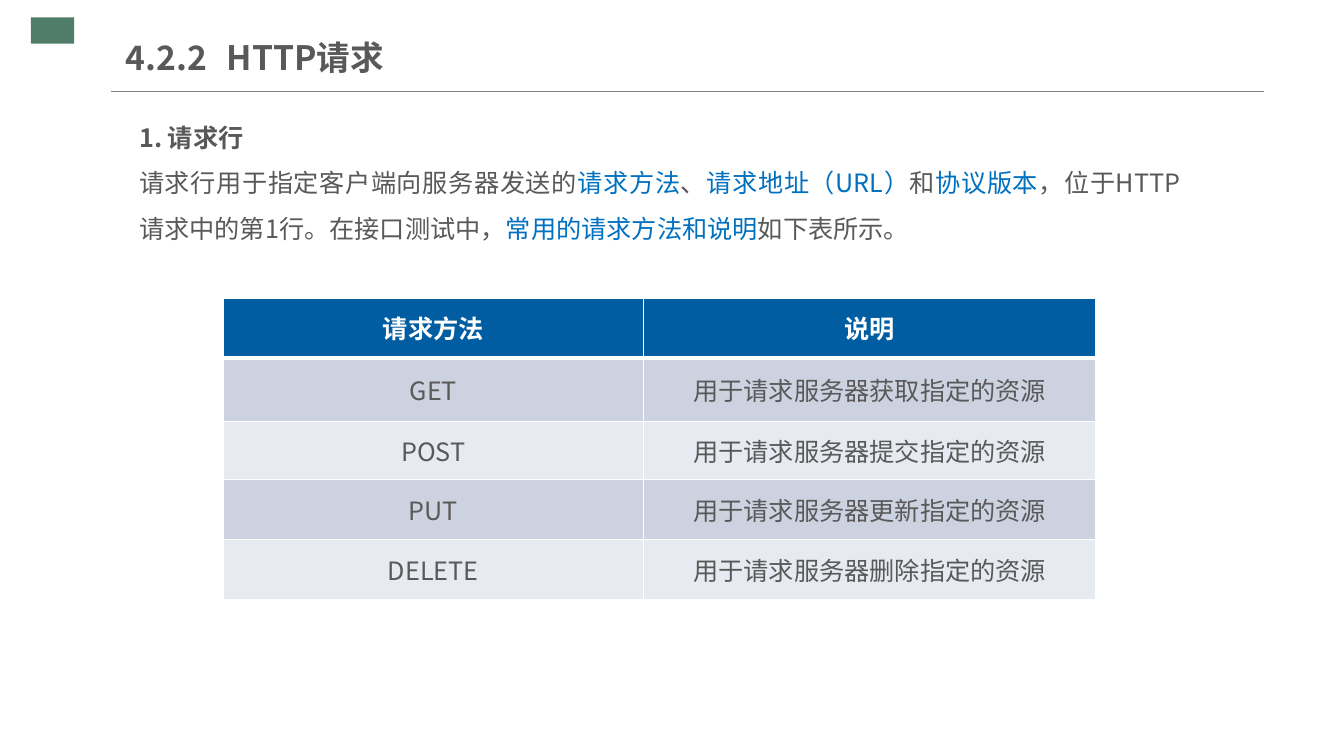
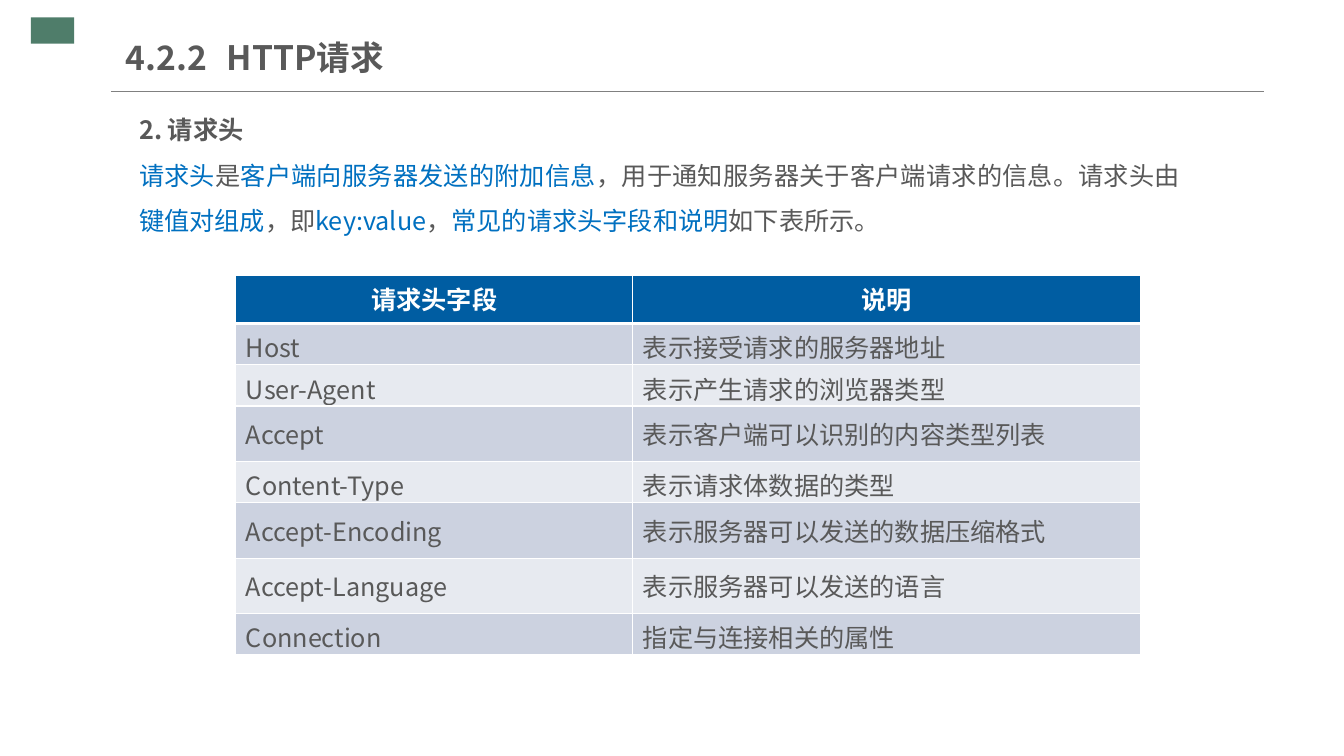
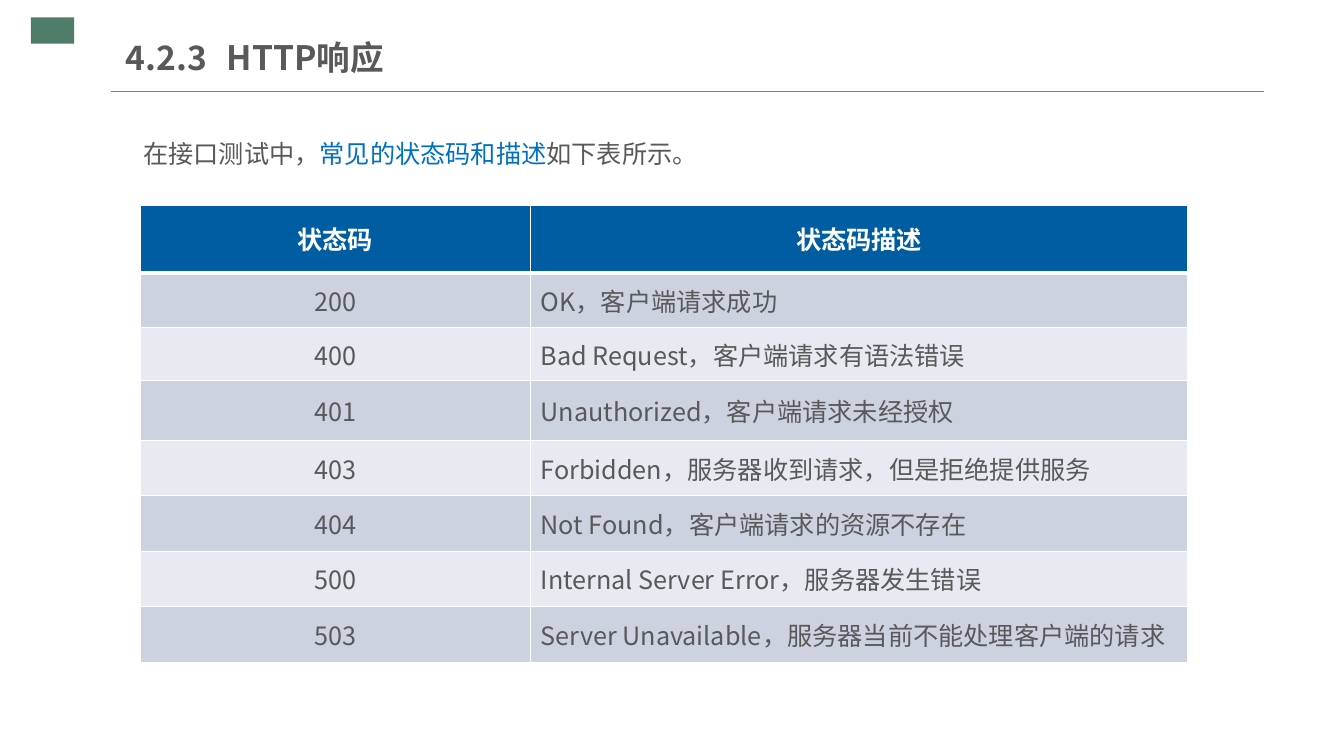
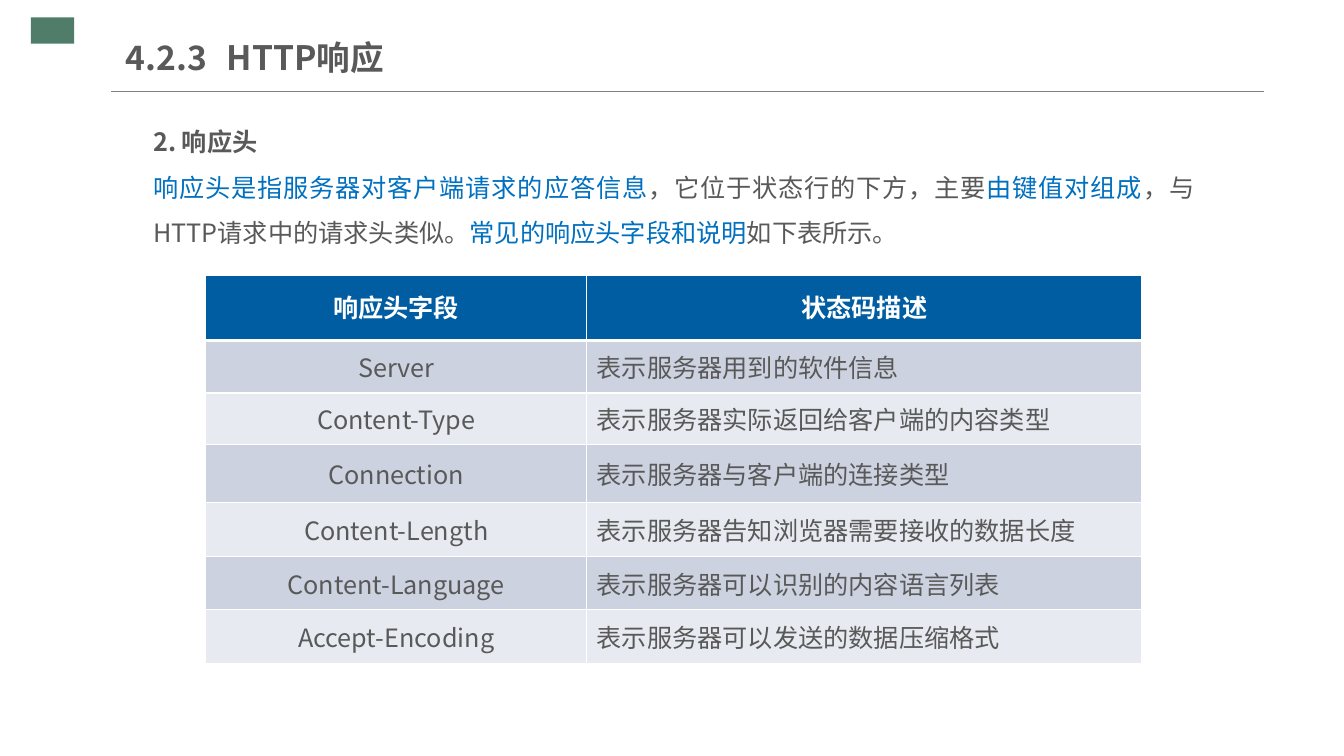
from dataclasses import dataclass

import lxml.etree
import pptx
import pptx.dml.color
import pptx.enum.shapes
import pptx.enum.text
import pptx.oxml.ns
import pptx.util

Pt = pptx.util.Pt
Align = pptx.enum.text.PP_ALIGN
Anchor = pptx.enum.text.MSO_ANCHOR


@dataclass(frozen=True)
class Theme:
    font: str = "Noto Sans CJK SC"
    title_size: float = 24
    body_size: float = 18
    text: str = "595959"
    highlight: str = "0070C0"
    white: str = "FFFFFF"
    marker: str = "4F7D6A"
    rule: str = "808080"
    header: str = "005DA2"
    bands: tuple[str, str] = ("CCD2E0", "E7EAF0")
    inner_border: float = 1
    header_border: float = 3


@dataclass(frozen=True)
class TableContent:
    left: float
    top: float
    columns: tuple[float, float]
    heights: tuple[float, ...]
    alignments: tuple[Align, Align]
    rows: tuple[tuple[str, str], ...]


@dataclass(frozen=True)
class Page:
    title: str
    heading: str
    body: str
    body_left: float
    body_top: float
    body_height: float
    table: TableContent


THEME = Theme()
TIGHT_ROW = 34
REQUEST_TITLE = "4.2.2\tHTTP请求"
RESPONSE_TITLE = "4.2.3\tHTTP响应"

PAGES = (
    Page(
        REQUEST_TITLE,
        "1. 请求行",
        "请求行用于指定客户端向服务器发送的*请求方法*、*请求地址（URL）*和*协议版本*，"
        "位于HTTP请求中的第1行。在接口测试中，*常用的请求方法和说明*如下表所示。",
        90, 71.5, 108,
        TableContent(
            159.5, 213.3, (300, 323.3), (42.5, 45.1, 41.8, 42.8, 43.1),
            (Align.CENTER, Align.CENTER),
            (
                ("请求方法", "说明"),
                ("GET", "用于请求服务器获取指定的资源"),
                ("POST", "用于请求服务器提交指定的资源"),
                ("PUT", "用于请求服务器更新指定的资源"),
                ("DELETE", "用于请求服务器删除指定的资源"),
            ),
        ),
    ),
    Page(
        REQUEST_TITLE,
        "2. 请求头",
        "*请求头*是*客户端向服务器发送的附加信息*，用于通知服务器关于客户端请求的信息。"
        "请求头由*键值对组成*，即*key:value*，*常见的请求头字段和说明*如下表所示。",
        90, 66, 108,
        TableContent(
            168.5, 196.5, (283.5, 363),
            (34.6, 29.5, 29.5, 39.6, 29.5, 39.6, 39.6, 29.5),
            (Align.LEFT, Align.LEFT),
            (
                ("请求头字段", "说明"),
                ("Host", "表示接受请求的服务器地址"),
                ("User-Agent", "表示产生请求的浏览器类型"),
                ("Accept", "表示客户端可以识别的内容类型列表"),
                ("Content-Type", "表示请求体数据的类型"),
                ("Accept-Encoding", "表示服务器可以发送的数据压缩格式"),
                ("Accept-Language", "表示服务器可以发送的语言"),
                ("Connection", "指定与连接相关的属性"),
            ),
        ),
    ),
    Page(
        RESPONSE_TITLE,
        "",
        "在接口测试中，*常见的状态码和描述*如下表所示。",
        93, 82.8, 42.5,
        TableContent(
            100, 146.8, (279, 469.3),
            (48.2, 38.9, 38.2, 42.5, 39.6, 39.6, 39.6, 39.6),
            (Align.CENTER, Align.LEFT),
            (
                ("状态码", "状态码描述"),
                ("200", "OK，客户端请求成功"),
                ("400", "Bad Request，客户端请求有语法错误"),
                ("401", "Unauthorized，客户端请求未经授权"),
                ("403", "Forbidden，服务器收到请求，但是拒绝提供服务"),
                ("404", "Not Found，客户端请求的资源不存在"),
                ("500", "Internal Server Error，服务器发生错误"),
                ("503", "Server Unavailable，服务器当前不能处理客户端的请求"),
            ),
        ),
    ),
    Page(
        RESPONSE_TITLE,
        "2. 响应头",
        "*响应头是指服务器对客户端请求的应答信息*，它位于状态行的下方，主要*由键值对组成*，"
        "与HTTP请求中的请求头类似。*常见的响应头字段和说明*如下表所示。",
        100, 74.8, 108,
        TableContent(
            147, 196.5, (272, 396.7),
            (46.8, 37.4, 36.7, 41.8, 38.2, 38.2, 38.2),
            (Align.CENTER, Align.LEFT),
            (
                ("响应头字段", "状态码描述"),
                ("Server", "表示服务器用到的软件信息"),
                ("Content-Type", "表示服务器实际返回给客户端的内容类型"),
                ("Connection", "表示服务器与客户端的连接类型"),
                ("Content-Length", "表示服务器告知浏览器需要接收的数据长度"),
                ("Content-Language", "表示服务器可以识别的内容语言列表"),
                ("Accept-Encoding", "表示服务器可以发送的数据压缩格式"),
            ),
        ),
    ),
)


def rgb(value: str) -> pptx.dml.color.RGBColor:
    return pptx.dml.color.RGBColor.from_string(value)


def add_element(parent, tag: str, **attributes: str):
    element = lxml.etree.SubElement(parent, pptx.oxml.ns.qn(tag))
    element.attrib.update(attributes)
    return element


def style_paragraph(paragraph, size: float, color: str, bold: bool = False) -> None:
    """Set the paragraph font for Latin and East Asian text alike."""
    font = paragraph.font
    font.size = Pt(size)
    font.bold = bold
    font.color.rgb = rgb(color)
    font.name = THEME.font
    properties = paragraph._p.pPr.find(pptx.oxml.ns.qn("a:defRPr"))
    add_element(properties, "a:ea", typeface=THEME.font)


def add_text_frame(slide, left: float, top: float, width: float, height: float,
                   side_inset: float):
    text_frame = slide.shapes.add_textbox(Pt(left), Pt(top), Pt(width), Pt(height)).text_frame
    text_frame.word_wrap = True
    text_frame.margin_left = text_frame.margin_right = Pt(side_inset)
    text_frame.margin_top = text_frame.margin_bottom = Pt(5)
    return text_frame


def add_frame(slide, title: str) -> None:
    """Draw the corner marker, the title and the rule below it."""
    marker = slide.shapes.add_shape(
        pptx.enum.shapes.MSO_SHAPE.RECTANGLE, Pt(22), Pt(12.5), Pt(31), Pt(18.7))
    marker.shadow.inherit = False
    marker.fill.solid()
    marker.fill.fore_color.rgb = rgb(THEME.marker)
    marker.line.fill.background()

    rule = slide.shapes.add_connector(
        pptx.enum.shapes.MSO_CONNECTOR.STRAIGHT, Pt(79.2), Pt(65.5), Pt(903), Pt(65.5))
    rule.line.color.rgb = rgb(THEME.rule)
    rule.line.width = Pt(0.75)
    add_element(rule._element.spPr, "a:effectLst")

    text_frame = add_text_frame(slide, 90, 21, 306.7, 39.6, 0)
    text_frame.vertical_anchor = Anchor.MIDDLE
    paragraph = text_frame.paragraphs[0]
    paragraph.add_run().text = title
    style_paragraph(paragraph, THEME.title_size, THEME.text, bold=True)


def add_body(slide, page: Page) -> None:
    """Write the heading and the body; text between asterisks is highlighted."""
    text_frame = add_text_frame(
        slide, page.body_left, page.body_top, 762.5, page.body_height, 9.4)
    text_frame.auto_size = pptx.enum.text.MSO_AUTO_SIZE.SHAPE_TO_FIT_TEXT
    paragraph = text_frame.paragraphs[0]
    if page.heading:
        paragraph.add_run().text = page.heading
        style_paragraph(paragraph, THEME.body_size, THEME.text, bold=True)
        paragraph = text_frame.add_paragraph()
    style_paragraph(paragraph, THEME.body_size, THEME.text)
    for index, part in enumerate(page.body.split("*")):
        if part:
            run = paragraph.add_run()
            run.text = part
            if index % 2:
                run.font.color.rgb = rgb(THEME.highlight)
    for paragraph in text_frame.paragraphs:
        paragraph.alignment = Align.JUSTIFY
        paragraph.line_spacing = 1.5


def set_borders(cell, top: float, bottom: float) -> None:
    properties = cell._tc.get_or_add_tcPr()
    widths = {"a:lnL": THEME.inner_border, "a:lnR": THEME.inner_border,
              "a:lnT": top, "a:lnB": bottom}
    for tag, width in widths.items():
        line = add_element(properties, tag, w=str(Pt(width)))
        add_element(add_element(line, "a:solidFill"), "a:srgbClr", val=THEME.white)


def fill_cell(cell, text: str, row: int, alignment: Align, height: float) -> None:
    is_header = row == 0
    set_borders(cell,
                THEME.header_border if row == 1 else THEME.inner_border,
                THEME.header_border if is_header else THEME.inner_border)
    cell.fill.solid()
    cell.fill.fore_color.rgb = rgb(THEME.header if is_header else THEME.bands[(row - 1) % 2])
    cell.vertical_anchor = Anchor.MIDDLE
    if height < TIGHT_ROW:
        cell.margin_bottom = Pt(0)
    paragraph = cell.text_frame.paragraphs[0]
    paragraph.add_run().text = text
    paragraph.alignment = Align.CENTER if is_header else alignment
    if is_header:
        paragraph.line_spacing = 0.9
    style_paragraph(paragraph, THEME.body_size,
                    THEME.white if is_header else THEME.text, bold=is_header)


def add_table(slide, content: TableContent) -> None:
    table = slide.shapes.add_table(
        len(content.rows), len(content.columns), Pt(content.left), Pt(content.top),
        Pt(sum(content.columns)), Pt(sum(content.heights))).table
    table.horz_banding = False
    for column, width in zip(table.columns, content.columns):
        column.width = Pt(width)
    for row, (texts, height) in enumerate(zip(content.rows, content.heights)):
        table.rows[row].height = Pt(height)
        for column, (text, alignment) in enumerate(zip(texts, content.alignments)):
            fill_cell(table.cell(row, column), text, row, alignment, height)


def main() -> None:
    presentation = pptx.Presentation()
    presentation.slide_width = Pt(960)
    presentation.slide_height = Pt(540)
    blank_layout = presentation.slide_layouts[6]
    for page in PAGES:
        slide = presentation.slides.add_slide(blank_layout)
        add_frame(slide, page.title)
        add_body(slide, page)
        add_table(slide, page.table)
    presentation.save("out.pptx")


if __name__ == "__main__":
    main()
